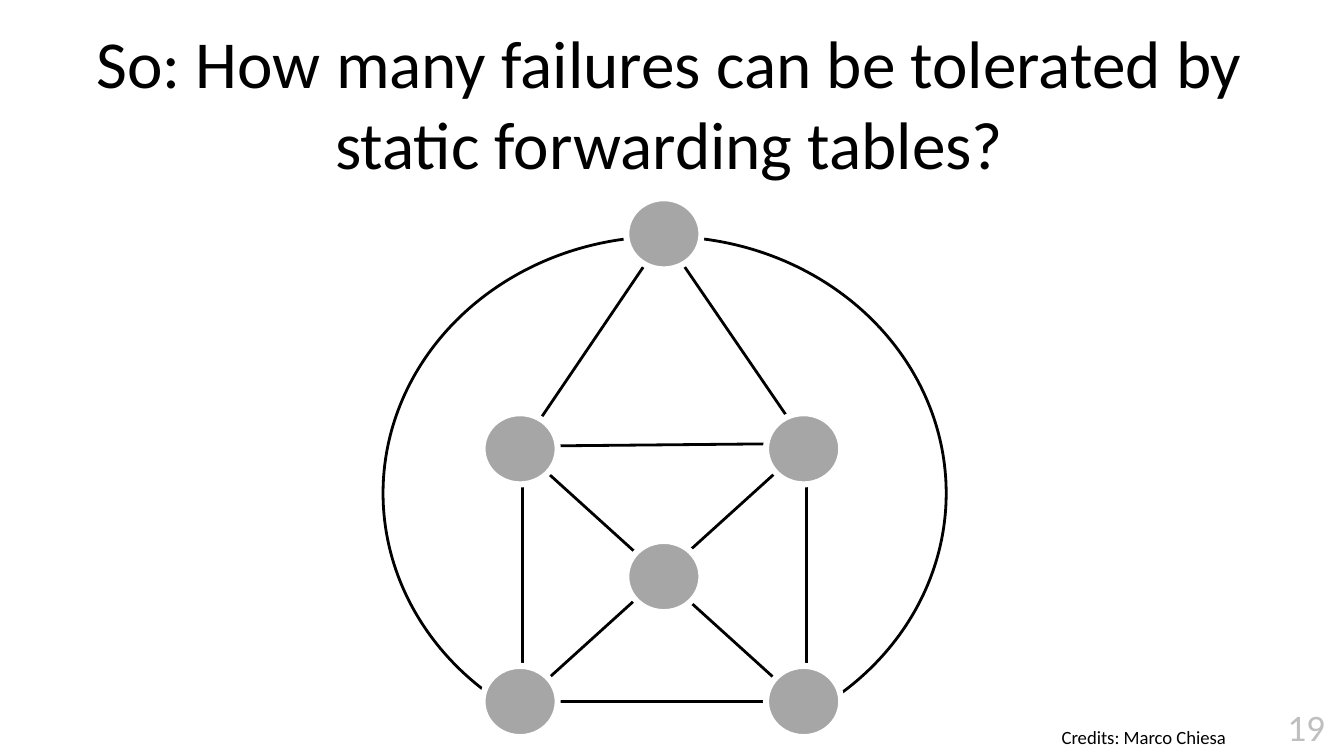
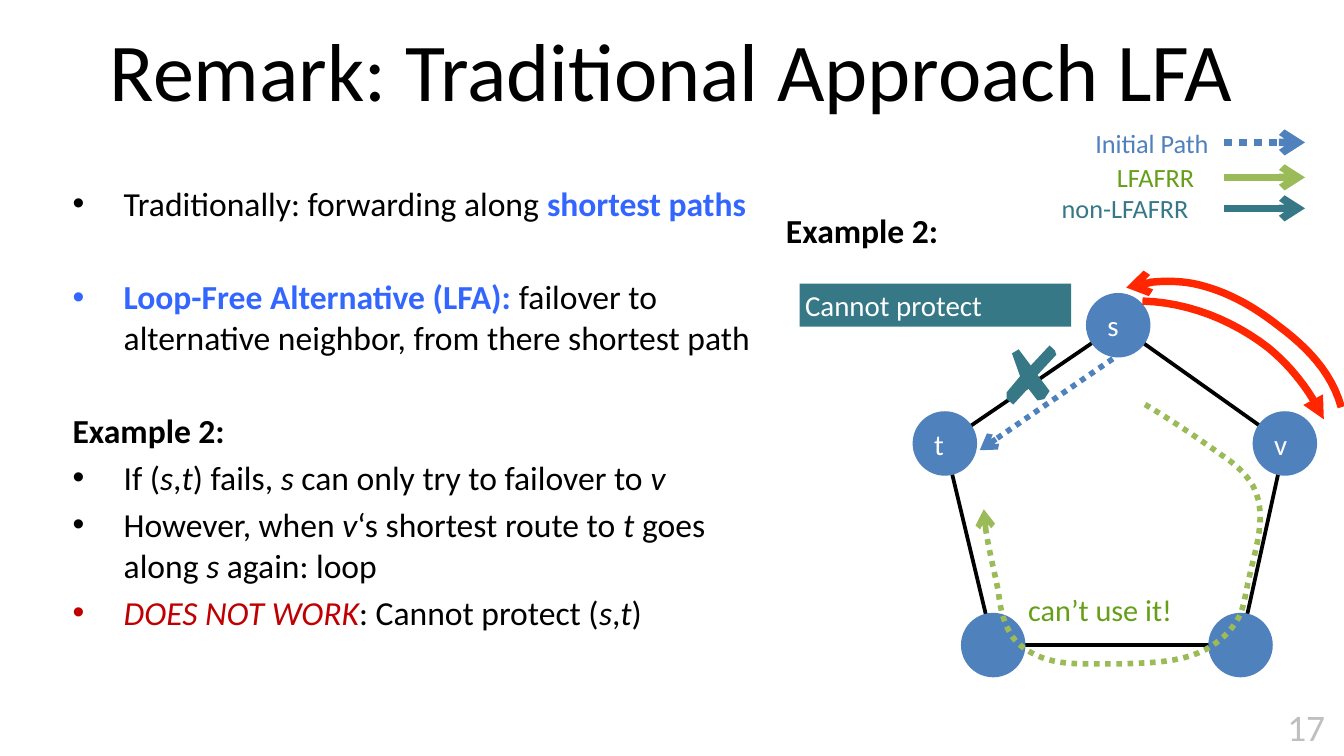
from itertools import product

from lxml import etree
from pptx import Presentation
from pptx.dml.color import RGBColor
from pptx.enum.dml import MSO_LINE
from pptx.enum.shapes import MSO_CONNECTOR, MSO_SHAPE
from pptx.enum.text import MSO_ANCHOR, MSO_AUTO_SIZE, PP_ALIGN
from pptx.oxml.ns import qn
from pptx.util import Inches, Pt

FONT = "Calibri"
COLORS = {
    "black": "000000", "white": "FFFFFF", "node": "A6A6A6", "number": "BFBFBF",
    "blue": "4F81BD", "accent": "3366FF", "teal": "377887", "green": "9BBB59",
    "green text": "659F18", "red": "FF2600", "warning": "C00000",
}
TITLE_ONLY, TITLE_AND_CONTENT = 5, 1


def rgb(name):
    return RGBColor.from_string(COLORS[name])


def add_text(para, text, size=18, color="black", bold=False):
    """Add text to a paragraph; parts between asterisks are italic."""
    for index, part in enumerate(text.split("*")):
        if part:
            span = para.add_run()
            span.text = part
            font = span.font
            font.name, font.size, font.bold = FONT, Pt(size), bold
            font.italic = index % 2 == 1
            font.color.rgb = rgb(color)


def bezier(start, curves, steps=12):
    """Return points along joined cubic curves, each (control, control, end)."""
    points = [start]
    for first, second, end in curves:
        corners = (points[-1], first, second, end)
        for step in range(1, steps + 1):
            t = step / steps
            weights = ((1 - t) ** 3, 3 * t * (1 - t) ** 2, 3 * t * t * (1 - t), t ** 3)
            points.append(tuple(sum(w * corner[axis] for w, corner in zip(weights, corners))
                                for axis in (0, 1)))
    return points


class SlideWriter:
    def __init__(self, deck):
        self.deck = deck
        self.slide = None

    def start(self, layout, title, number, left, top, size):
        """Begin a slide with its title and page number."""
        self.slide = self.deck.slides.add_slide(self.deck.slide_layouts[layout])
        self.place(self.slide.shapes.title, left, top, 9, 0.94)
        frame = self.slide.shapes.title.text_frame
        frame.auto_size = MSO_AUTO_SIZE.NONE
        frame.vertical_anchor = MSO_ANCHOR.MIDDLE
        frame.paragraphs[0].alignment = PP_ALIGN.CENTER
        add_text(frame.paragraphs[0], title, size=size)
        self.label(number, 9.48, 5.19, 0.49, 0.44, inset=0.1, wrap=False,
                   anchor=MSO_ANCHOR.TOP, size=20, color="number")

    def place(self, shape, left, top, width, height):
        shape.left, shape.top = Inches(left), Inches(top)
        shape.width, shape.height = Inches(width), Inches(height)

    def fill_frame(self, frame, text, inset=0.04, left_inset=None, wrap=True,
                   anchor=MSO_ANCHOR.MIDDLE, align=PP_ALIGN.LEFT, **style):
        frame.margin_left = Inches(inset if left_inset is None else left_inset)
        frame.margin_right = Inches(inset)
        frame.margin_top = frame.margin_bottom = Inches(min(inset, 0.05))
        frame.word_wrap = wrap
        frame.vertical_anchor = anchor
        frame.paragraphs[0].alignment = align
        add_text(frame.paragraphs[0], text, **style)

    def label(self, text, left, top, width, height, **style):
        box = self.slide.shapes.add_textbox(*map(Inches, (left, top, width, height)))
        self.fill_frame(box.text_frame, text, **style)

    def bullets(self, items, left, top, width, height):
        """Fill the body from (spans, bulleted, space before) items."""
        body = self.slide.placeholders[1]
        self.place(body, left, top, width, height)
        frame = body.text_frame
        frame.auto_size = MSO_AUTO_SIZE.NONE
        for index, (spans, bulleted, space) in enumerate(items):
            para = frame.add_paragraph() if index else frame.paragraphs[0]
            properties = para._p.get_or_add_pPr()
            indent = Inches(0.38) if bulleted else 0
            properties.set("marL", str(indent))
            properties.set("indent", str(-indent))
            if bulleted:
                etree.SubElement(properties, qn("a:buChar")).set("char", "•")
            else:
                etree.SubElement(properties, qn("a:buNone"))
            para.space_before = Pt(space)
            for text, style in spans:
                add_text(para, text, **style)

    def shape(self, kind, left, top, width, height, fill=None, line=None, weight=1.5):
        shape = self.slide.shapes.add_shape(kind, *map(Inches, (left, top, width, height)))
        self.paint(shape, fill, line, weight)
        return shape

    def circle(self, center, width, height, **style):
        x, y = center
        return self.shape(MSO_SHAPE.OVAL, x - width / 2, y - height / 2, width, height, **style)

    def paint(self, shape, fill, line, weight):
        shape.shadow.inherit = False
        if fill:
            shape.fill.solid()
            shape.fill.fore_color.rgb = rgb(fill)
        else:
            shape.fill.background()
        if line:
            self.stroke(shape, line, weight)
        else:
            shape.line.fill.background()

    def stroke(self, shape, color, weight, dotted=False, head=None, tail=None):
        shape.line.color.rgb = rgb(color)
        shape.line.width = Pt(weight)
        if dotted:
            shape.line.dash_style = MSO_LINE.ROUND_DOT
        outline = shape._element.spPr.find(qn("a:ln"))
        for tag, kind in (("a:headEnd", head), ("a:tailEnd", tail)):
            if kind:
                etree.SubElement(outline, qn(tag)).set("type", kind)

    def line(self, start, end, color="black", weight=1.5, **style):
        connector = self.slide.shapes.add_connector(
            MSO_CONNECTOR.STRAIGHT, *map(Inches, (*start, *end)))
        self.stroke(connector, color, weight, **style)
        etree.SubElement(connector._element.spPr, qn("a:effectLst"))

    def outline(self, points, fill=None, closed=False):
        points = [(Inches(x), Inches(y)) for x, y in points]
        builder = self.slide.shapes.build_freeform(*points[0])
        builder.add_line_segments(points[1:], close=closed)
        shape = builder.convert_to_shape()
        self.paint(shape, fill, None, 0)
        return shape

    def curve(self, start, curves, color, weight, **style):
        self.stroke(self.outline(bezier(start, curves)), color, weight, **style)


def build_failures(writer):
    writer.start(TITLE_ONLY, "So: How many failures can be tolerated by static forwarding tables?",
                 "19", left=0.48, top=0.29, size=36)
    for start, end in ((125, 270), (270, 55)):
        arc = writer.shape(MSO_SHAPE.ARC, 2.85, 1.76, 4.19, 3.82, line="black")
        # Arc angles are stored in 60000ths of a degree, adjustments in 100000ths.
        arc.adjustments[0], arc.adjustments[1] = start * 0.6, end * 0.6

    apex = (4.94, 1.76)
    upper_left, lower_left, upper_right, lower_right = product((3.89, 6), (3.31, 5.22))
    for start, end in (
        (lower_left, lower_right), (apex, upper_right), (upper_left, lower_left),
        (apex, upper_left), (upper_right, lower_right), ((6, 3.3), (3.89, 3.32)),
        (upper_right, lower_left), ((6.02, 5.28), (3.91, 3.37)),
    ):
        writer.line(start, end)
    for center in ((4.94, 1.74), (4.94, 4.29), *product((3.87, 5.98), (3.34, 5.22))):
        writer.circle(center, 0.56, 0.53, fill="node", line="white", weight=3.25)
    writer.label("Credits: Marco Chiesa", 7.31, 5.29, 2.4, 0.39, align=PP_ALIGN.CENTER, size=10)


def build_network(writer):
    nodes = {"s": (8.32, 2.42), "v": (9.56, 3.3), "": (9.23, 4.8),
             "corner": (7.39, 4.8), "t": (7.03, 3.3)}
    ring = list(nodes.values())
    for start, end in zip(ring, ring[1:] + ring[:1]):
        writer.line(start, end, weight=2)
    for name, center in nodes.items():
        node = writer.circle(center, 0.48, 0.48, fill="blue")
        if len(name) == 1:
            writer.fill_frame(node.text_frame, name, left_inset=0.09, size=15.5, color="white")

    cross = [(7.81, 2.57), (7.67, 2.72), (7.58, 2.6), (7.53, 2.63), (7.59, 2.8), (7.49, 2.92),
             (7.49, 2.97), (7.54, 3.01), (7.65, 2.89), (7.72, 2.98), (7.77, 2.97), (7.81, 2.91),
             (7.72, 2.79), (7.86, 2.64), (7.85, 2.61)]
    writer.outline(cross, fill="teal", closed=True)
    writer.curve((8.5, 2.24), [
        ((8.84, 2.25), (9.17, 2.38), (9.44, 2.59)),
        ((9.61, 2.73), (9.75, 2.91), (9.85, 3.12)),
    ], "red", 4, tail="triangle")
    writer.curve((8.38, 2.14), [
        ((8.54, 2.09), (8.71, 2.08), (8.88, 2.11)),
        ((9.12, 2.16), (9.33, 2.28), (9.52, 2.43)),
        ((9.72, 2.58), (9.91, 2.77), (9.98, 3.03)),
    ], "red", 4, head="arrow")
    writer.line((8.28, 2.67), (7.29, 3.35), "blue", 3, dotted=True, tail="arrow")

    banner = writer.shape(MSO_SHAPE.RECTANGLE, 5.95, 2.11, 2.02, 0.32, fill="teal")
    writer.fill_frame(banner.text_frame, "Cannot protect", size=15.5, color="white")
    writer.curve((8.52, 3.01), [
        ((8.72, 3.13), (8.9, 3.25), (9.08, 3.38)),
        ((9.17, 3.44), (9.26, 3.51), (9.32, 3.61)),
        ((9.44, 3.83), (9.34, 4.08), (9.29, 4.32)),
        ((9.27, 4.4), (9.26, 4.49), (9.23, 4.57)),
        ((9.19, 4.65), (9.14, 4.71), (9.08, 4.76)),
        ((8.88, 4.93), (8.61, 4.93), (8.36, 4.94)),
        ((8.27, 4.94), (8.18, 4.94), (8.08, 4.94)),
        ((7.96, 4.94), (7.83, 4.93), (7.72, 4.88)),
        ((7.63, 4.84), (7.55, 4.78), (7.51, 4.7)),
        ((7.46, 4.61), (7.44, 4.51), (7.43, 4.41)),
        ((7.39, 4.2), (7.33, 4), (7.32, 3.79)),
    ], "green", 3, dotted=True, tail="arrow")
    writer.label("can’t use it!", 7.61, 4.36, 1.51, 0.35, size=16.2, color="green text")


def build_remark(writer):
    writer.start(TITLE_AND_CONTENT, "Remark: Traditional Approach LFA", "17",
                 left=0.5, top=0.04, size=44)
    accent = {"color": "accent", "bold": True}
    near, far = 3.6, 28.5
    writer.bullets([
        ([("Traditionally: forwarding along ", {}), ("shortest paths", accent)], True, 0),
        ([("Loop-Free Alternative (LFA): ", accent),
          ("failover to alternative neighbor, from there shortest path", {})], True, far),
        ([("Example 2:", {"bold": True})], False, far),
        ([("If (*s*,*t*) fails, *s* can only try to failover to *v*", {})], True, near),
        ([("However, when *v*‘s shortest route to *t* goes along *s* again: loop", {})], True, near),
        ([("*DOES NOT WORK*", {"color": "warning"}), (": Cannot protect (*s*,*t*)", {})], True, near),
    ], 0.44, 1.31, 5.36, 3.84)
    writer.label("Example 2:", 5.75, 1.51, 2.1, 0.6, inset=0.1, anchor=MSO_ANCHOR.TOP, bold=True)
    build_network(writer)

    for text, left, width, y, color, text_color, dotted in (
        ("Initial Path", 8.11, 1, 1.06, "blue", "blue", True),
        ("LFAFRR", 8.27, 0.85, 1.32, "green", "green text", False),
        ("non-LFAFRR", 7.86, 1.24, 1.55, "teal", "teal", False),
    ):
        writer.line((9.11, y), (9.71, y), color, 4, dotted=dotted, tail="arrow")
        writer.label(text, left, y - 0.16, width, 0.32, wrap=False, size=14.1, color=text_color)


def main():
    deck = Presentation()
    deck.slide_width = Inches(10)
    deck.slide_height = deck.slide_width * 9 // 16
    writer = SlideWriter(deck)
    build_failures(writer)
    build_remark(writer)
    deck.save("out.pptx")


if __name__ == "__main__":
    main()
